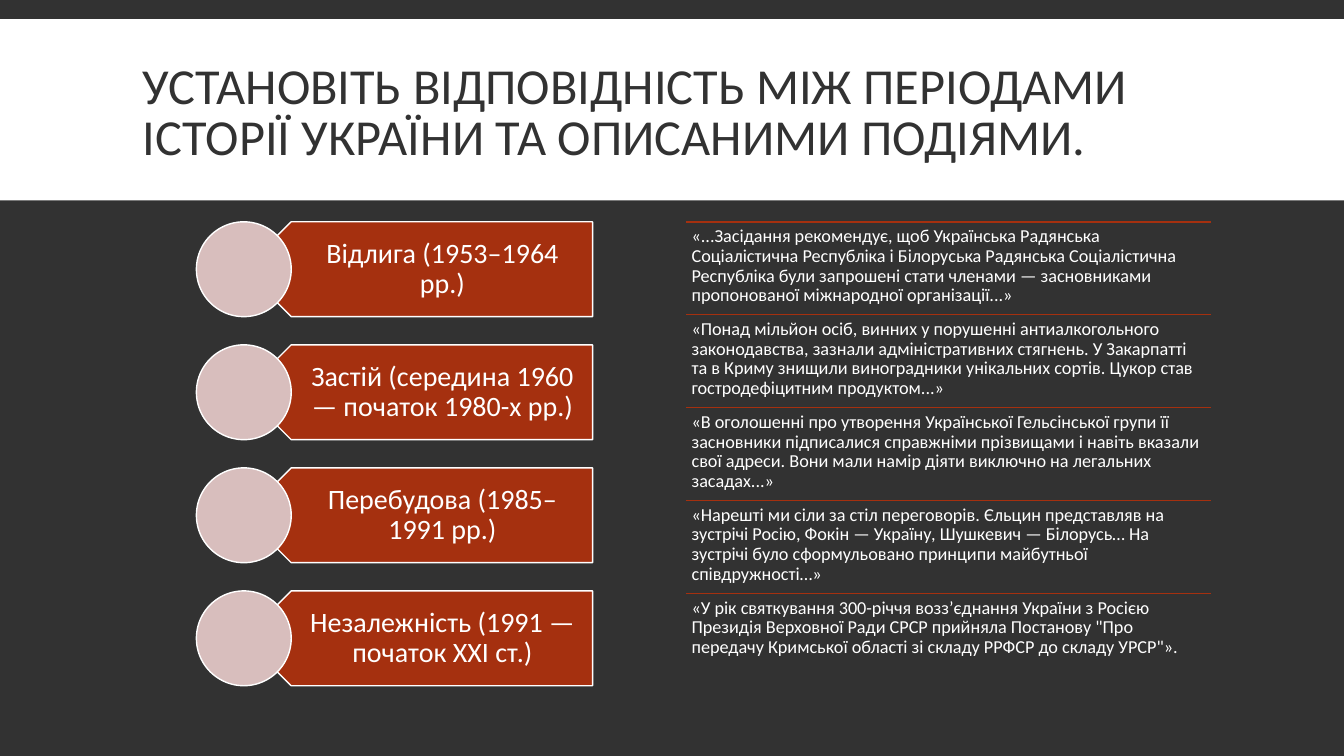
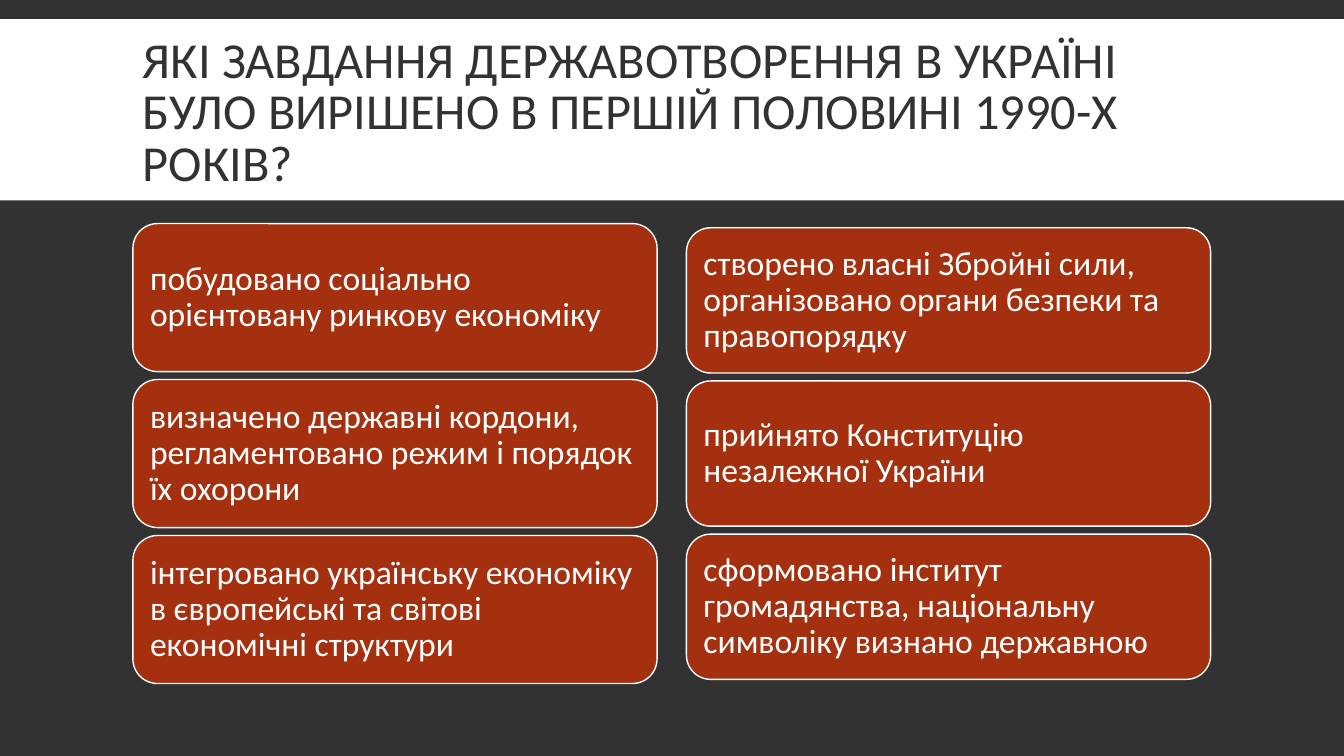
"""Build two history quiz slides: matching periods with events, and tasks of state building."""
import pptx
import pptx.dml.color
import pptx.enum.shapes
import pptx.enum.text
import pptx.oxml
import pptx.oxml.ns
import pptx.util

Cm = pptx.util.Cm
Pt = pptx.util.Pt
Shape = pptx.enum.shapes.MSO_SHAPE
Anchor = pptx.enum.text.MSO_ANCHOR
Align = pptx.enum.text.PP_ALIGN

FONT = "Calibri"
DARK, WHITE, RUST, BLUSH = "323232", "FFFFFF", "A5300F", "D8BEBD"
SLIDE_WIDTH, SLIDE_HEIGHT = 33.87, 19.05
LEFT_COLUMN, RIGHT_COLUMN, COLUMN_WIDTH = 3.35, 17.3, 13.21
LIST_TOP = 5.59
CARDS_MIDDLE, CARD_GAP = 11.43, 0.2

PERIODS_TITLE = "УСТАНОВІТЬ ВІДПОВІДНІСТЬ МІЖ ПЕРІОДАМИ ІСТОРІЇ УКРАЇНИ ТА ОПИСАНИМИ ПОДІЯМИ."
PERIODS = [
    "Відлига (1953–1964 рр.)",
    "Застій (середина 1960 — початок 1980-х рр.)",
    "Перебудова (1985–1991 рр.)",
    "Незалежність (1991 — початок XXI ст.)",
]
EVENTS = [
    "«...Засідання рекомендує, щоб Українська Радянська Соціалістична Республіка "
    "і Білоруська Радянська Соціалістична Республіка були запрошені стати членами "
    "— засновниками пропонованої міжнародної організації...»",
    "«Понад мільйон осіб, винних у порушенні антиалкогольного законодавства, "
    "зазнали адміністративних стягнень. У Закарпатті та в Криму знищили "
    "виноградники унікальних сортів. Цукор став гостродефіцитним продуктом...»",
    "«В оголошенні про утворення Української Гельсінської групи її засновники "
    "підписалися справжніми прізвищами і навіть вказали свої адреси. Вони мали "
    "намір діяти виключно на легальних засадах...»",
    "«Нарешті ми сіли за стіл переговорів. Єльцин представляв на зустрічі Росію, "
    "Фокін — Україну, Шушкевич — Білорусь… На зустрічі було сформульовано "
    "принципи майбутньої співдружності…»",
    "«У рік святкування 300-річчя возз’єднання України з Росією Президія "
    "Верховної Ради СРСР прийняла Постанову \"Про передачу Кримської області "
    "зі складу РРФСР до складу УРСР\"».",
]
TASKS_TITLE = "ЯКІ ЗАВДАННЯ ДЕРЖАВОТВОРЕННЯ В УКРАЇНІ БУЛО ВИРІШЕНО В ПЕРШІЙ ПОЛОВИНІ 1990-Х РОКІВ?"
ECONOMY_TASKS = [
    "побудовано соціально орієнтовану ринкову економіку",
    "визначено державні кордони, регламентовано режим і порядок їх охорони",
    "інтегровано українську економіку в європейські та світові економічні структури",
]
STATE_TASKS = [
    "створено власні Збройні сили, організовано органи безпеки та правопорядку",
    "прийнято Конституцію незалежної України",
    "сформовано інститут громадянства, національну символіку визнано державною",
]


def color(hex_code):
    return pptx.dml.color.RGBColor.from_string(hex_code)


def write(shape, text, size, ink=WHITE, insets=(0.25, 0.13, 0.25, 0.13),
          anchor=Anchor.MIDDLE, align=Align.LEFT, spacing=0.9):
    frame = shape.text_frame
    frame.word_wrap = True
    frame.vertical_anchor = anchor
    frame.margin_left, frame.margin_top, frame.margin_right, frame.margin_bottom = map(Cm, insets)
    paragraph = frame.paragraphs[0]
    paragraph.text = text
    paragraph.alignment = align
    paragraph.line_spacing = spacing
    paragraph.font.name = FONT
    paragraph.font.size = Pt(size)
    paragraph.font.color.rgb = color(ink)


def add_block(slide, preset, box, fill, outlined=True):
    block = slide.shapes.add_shape(preset, *map(Cm, box))
    block.shadow.inherit = False
    block.fill.solid()
    block.fill.fore_color.rgb = color(fill)
    if outlined:
        block.line.color.rgb = color(WHITE)
        block.line.width = Pt(1)
    else:
        block.line.fill.background()
    return block


def add_text(slide, box, text, size, **style):
    write(slide.shapes.add_textbox(*map(Cm, box)), text, size, **style)


def add_rule(slide, left, top, width):
    rule = slide.shapes.add_connector(
        pptx.enum.shapes.MSO_CONNECTOR.STRAIGHT, Cm(left), Cm(top), Cm(left + width), Cm(top))
    rule.line.color.rgb = color(RUST)
    rule.line.width = Pt(1)
    properties = rule._element.spPr
    properties.append(pptx.oxml.parse_xml(f"<a:effectLst {pptx.oxml.ns.nsdecls('a')}/>"))


def add_titled_slide(deck, title):
    slide = deck.slides.add_slide(deck.slide_layouts[6])
    slide.background.fill.solid()
    slide.background.fill.fore_color.rgb = color(DARK)
    add_block(slide, Shape.RECTANGLE, (0, 0.48, SLIDE_WIDTH, 4.57), WHITE, outlined=False)
    add_text(slide, (LEFT_COLUMN, 0.79, 27.18, 4.19), title, 36, ink=DARK, spacing=0.85)
    return slide


def add_periods(slide, periods):
    left, size, pitch = 4.95, 2.39, 3.1
    for row, period in enumerate(periods):
        top = LIST_TOP + row * pitch
        label = add_block(slide, Shape.PENTAGON, (left + size / 2, top, 8.79, size), RUST)
        label._element.spPr.xfrm.set("flipH", "1")
        write(label, period, 20, insets=(1.04, 0.2, 0.41, 0.2), align=Align.CENTER)
        add_block(slide, Shape.OVAL, (left, top, size, size), BLUSH)


def add_events(slide, events):
    pitch = 2.34
    for row, event in enumerate(events):
        top = LIST_TOP + row * pitch
        add_rule(slide, RIGHT_COLUMN, top, COLUMN_WIDTH)
        add_text(slide, (RIGHT_COLUMN, top, COLUMN_WIDTH, pitch), event, 13,
                 insets=(0.13,) * 4, anchor=Anchor.TOP)


def add_task_cards(slide, left, height, tasks):
    pitch = height + CARD_GAP
    first_top = CARDS_MIDDLE - (len(tasks) * pitch - CARD_GAP) / 2
    for row, task in enumerate(tasks):
        box = (left, first_top + row * pitch, COLUMN_WIDTH, height)
        write(add_block(slide, Shape.ROUNDED_RECTANGLE, box, RUST), task, 24, insets=(0.25,) * 4)


def main():
    deck = pptx.Presentation()
    deck.slide_width, deck.slide_height = Cm(SLIDE_WIDTH), Cm(SLIDE_HEIGHT)

    matching = add_titled_slide(deck, PERIODS_TITLE)
    add_periods(matching, PERIODS)
    add_events(matching, EVENTS)

    state_building = add_titled_slide(deck, TASKS_TITLE)
    add_task_cards(state_building, LEFT_COLUMN, 3.73, ECONOMY_TASKS)
    add_task_cards(state_building, RIGHT_COLUMN, 3.66, STATE_TASKS)

    deck.save("out.pptx")


if __name__ == "__main__":
    main()
